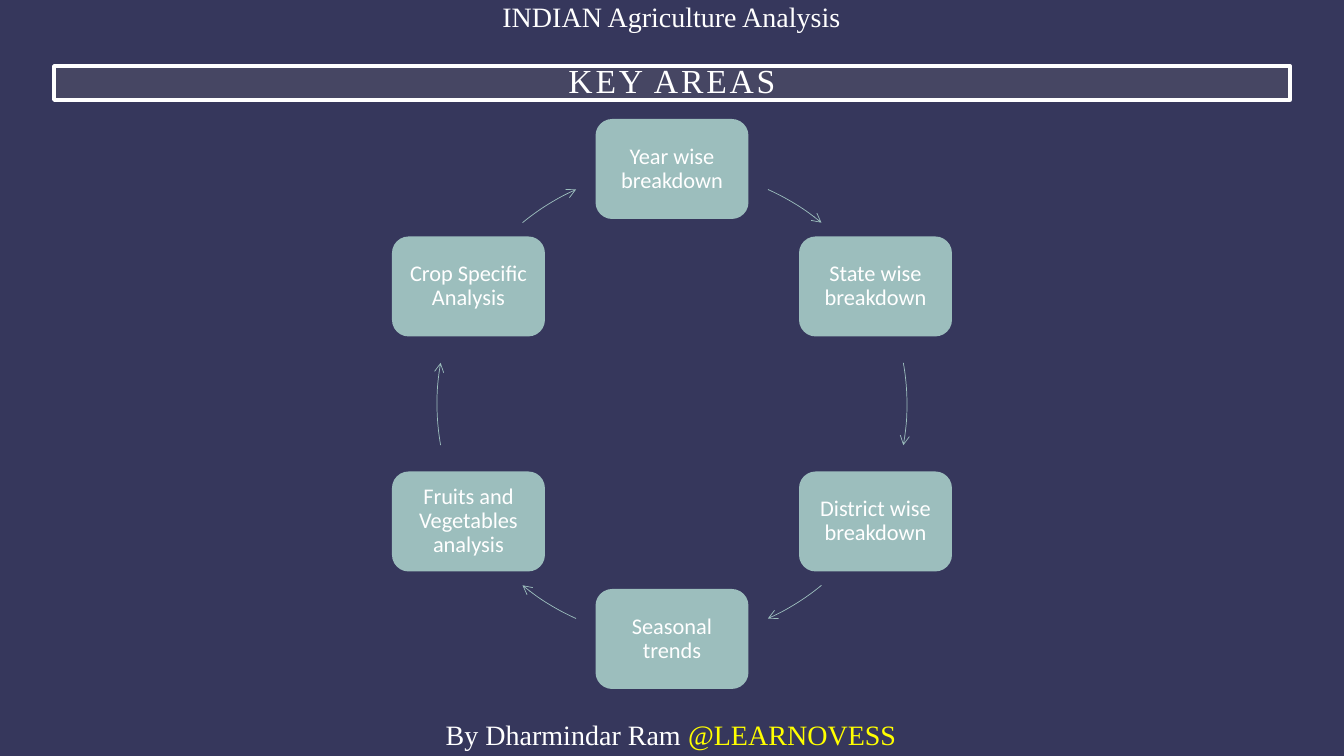
from lxml.etree import SubElement
from pptx import Presentation
from pptx.dml.color import RGBColor
from pptx.enum.shapes import MSO_SHAPE
from pptx.enum.text import MSO_ANCHOR, MSO_AUTO_SIZE, PP_ALIGN
from pptx.oxml.ns import qn
from pptx.util import Emu, Pt
from math import cos, radians, sin

SCALE = 914400 / 100.8
WHITE, YELLOW, MINT = "FFFFFF", "FFFF00", "9CBEBD"
NAVY, SAND = "36375C", "A7A08E"
SERIF, SANS = "Times New Roman", "Calibri"


def px(num):
    return Emu(round(num * SCALE))


def paint(target, color):
    """Give a fill a solid colour."""
    target.solid()
    target.fore_color.rgb = RGBColor.from_string(color)


class Deck:
    def __init__(self, wide, high):
        self.prs = Presentation()
        self.prs.slide_width, self.prs.slide_height = px(wide), px(high)
        self.slide = self.prs.slides.add_slide(self.prs.slide_layouts[5])
        paint(self.slide.background.fill, NAVY)

    def text(self, frame, runs, font, size, inset, space=1.0):
        """Fill a frame with one centred paragraph of (words, colour) runs."""
        frame.word_wrap = True
        frame.auto_size = MSO_AUTO_SIZE.NONE
        frame.vertical_anchor = MSO_ANCHOR.MIDDLE
        frame.margin_left = frame.margin_right = px(inset)
        frame.margin_top = frame.margin_bottom = 0
        para = frame.paragraphs[0]
        para.alignment = PP_ALIGN.CENTER
        para.line_spacing = space
        para.font.name, para.font.size = font, Pt(size)
        for words, color in runs:
            run = para.add_run()
            run.text = words
            paint(run.font.fill, color)
        return para

    def title(self, words, x, y, wide, high):
        bar = self.slide.shapes.title
        bar.left, bar.top, bar.width, bar.height = map(px, (x, y, wide, high))
        paint(bar.fill, SAND)
        tint = bar._element.spPr.find(qn("a:solidFill"))[0]
        SubElement(tint, qn("a:alpha"), val="15000")
        paint(bar.line.fill, WHITE)
        bar.line.width = Pt(2.5)
        para = self.text(bar.text_frame, [(words, WHITE)], SERIF, 24, 20, 0.9)
        para.runs[0]._r.get_or_add_rPr().set("spc", "200")

    def label(self, runs, x, y, wide, high):
        box = self.slide.shapes.add_textbox(*map(px, (x, y, wide, high)))
        self.text(box.text_frame, runs, SERIF, 20, 10)

    def card(self, words, x, y, wide, high):
        """Draw a rounded card centred on x, y."""
        spot = map(px, (x - wide / 2, y - high / 2, wide, high))
        card = self.slide.shapes.add_shape(MSO_SHAPE.ROUNDED_RECTANGLE, *spot)
        card.shadow.inherit = False
        paint(card.fill, MINT)
        card.line.fill.background()
        self.text(card.text_frame, [(words, WHITE)], SANS, 16, 12, 0.9)

    def arc(self, x, y, radius, start, end):
        """Draw a clockwise arrow on a circle, angles in degrees."""
        spot = map(px, (x - radius, y - radius, 2 * radius, 2 * radius))
        arc = self.slide.shapes.add_shape(MSO_SHAPE.ARC, *spot)
        arc.shadow.inherit = False
        arc.fill.background()
        # Arc angles count 60000 to a degree; adjustments count 100000 to one
        for i, angle in enumerate((start, end)):
            arc.adjustments[i] = angle % 360 * 0.6
        paint(arc.line.fill, MINT)
        arc.line.width = Pt(0.5)
        line = arc._element.spPr.find(qn("a:ln"))
        SubElement(line, qn("a:tailEnd"), type="arrow")


def main():
    deck = Deck(1344, 756)
    deck.title("KEY AREAS", 54, 66, 1236, 34)

    x, y, radius = 672, 404, 235
    areas = ["Year wise breakdown", "State wise breakdown",
             "District wise breakdown", "Seasonal trends",
             "Fruits and Vegetables analysis", "Crop Specific Analysis"]
    spans = [(-65.9, -50.5), (-10.1, 10.1), (50.5, 65.9)]
    spans += [(a + 180, b + 180) for a, b in spans]
    for i, (area, span) in enumerate(zip(areas, spans)):
        turn = radians(60 * i - 90)
        deck.card(area, x + radius * cos(turn), y + radius * sin(turn), 153, 100)
        deck.arc(x, y, radius, *span)

    deck.label([("By Dharmindar Ram ", WHITE), ("@LEARNOVESS", YELLOW)],
               281, 712, 780, 44)
    deck.label([("INDIAN Agriculture Analysis", WHITE)], 410, -6, 523, 44)
    deck.prs.save("out.pptx")


if __name__ == "__main__":
    main()
